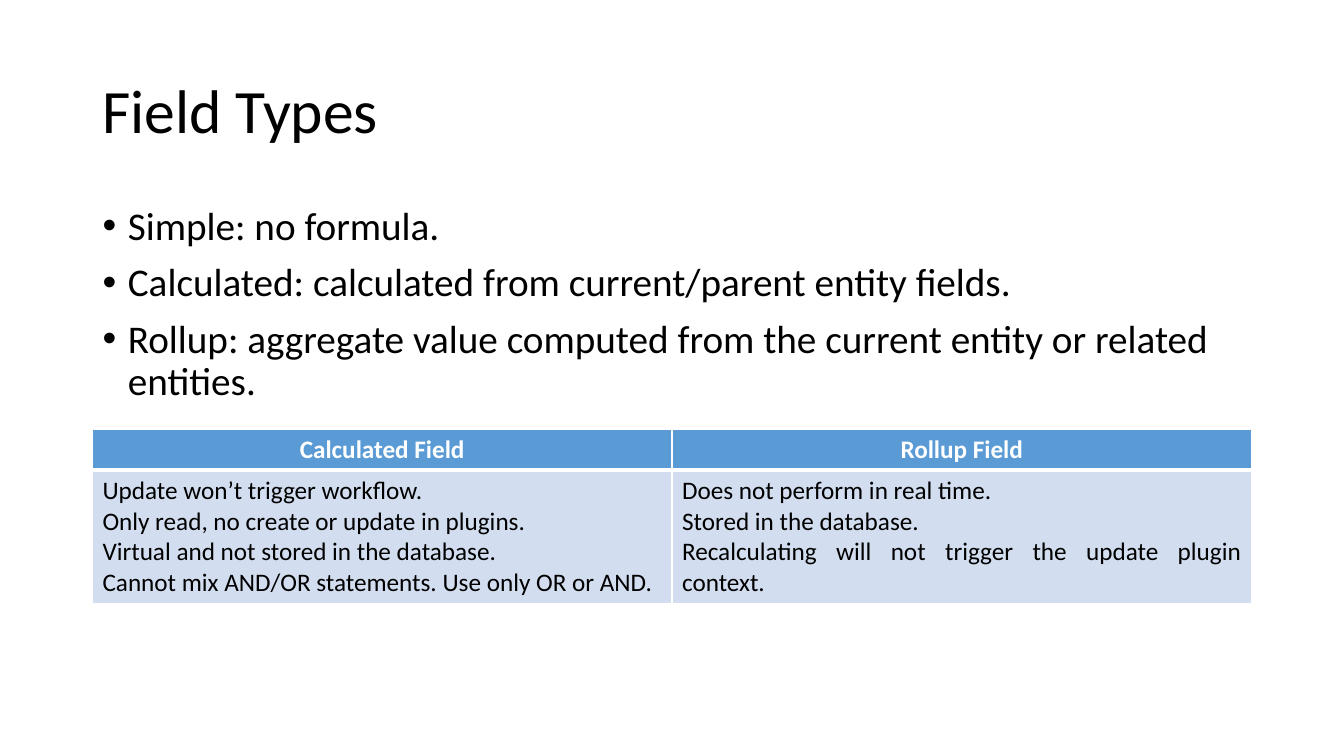
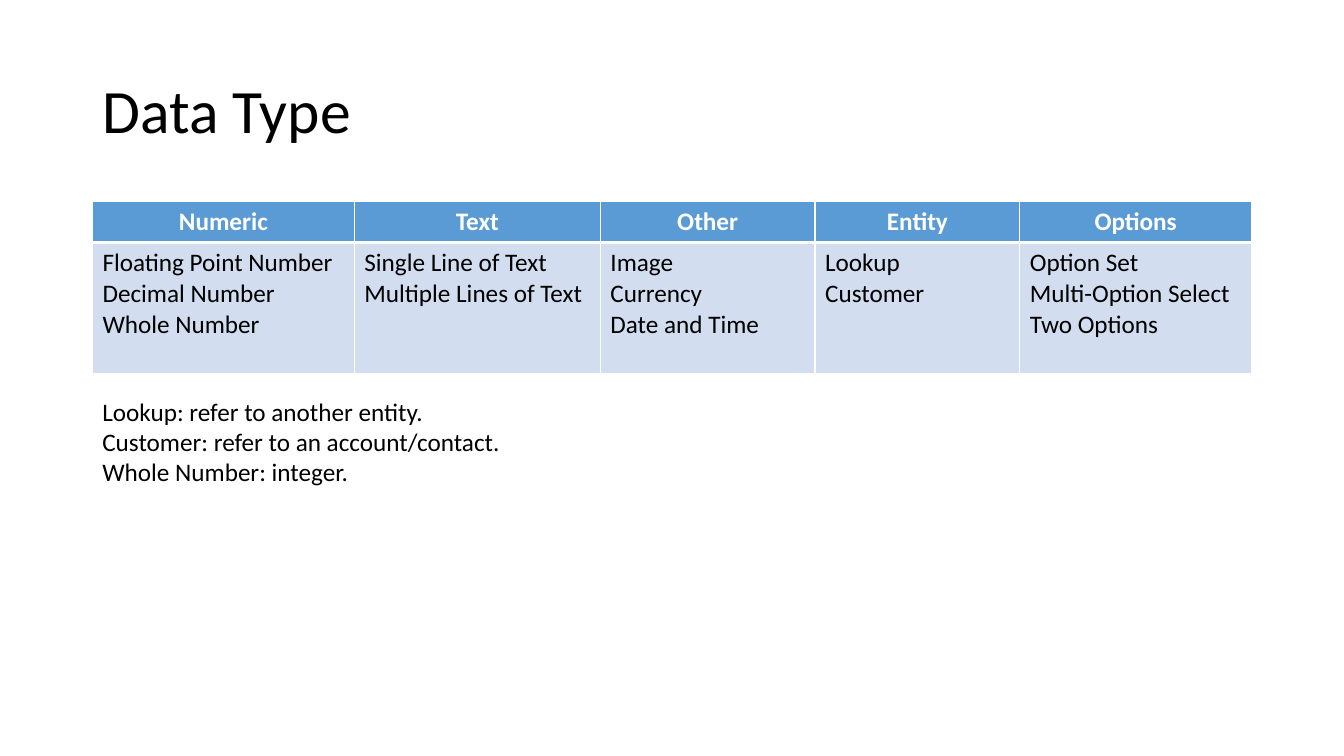
from dataclasses import dataclass

from lxml import etree
from pptx import Presentation
from pptx.dml.color import RGBColor
from pptx.enum.text import MSO_ANCHOR, MSO_AUTO_SIZE, PP_ALIGN
from pptx.oxml.ns import qn
from pptx.util import Cm, Pt

LEFT, CENTER, JUSTIFY = PP_ALIGN.LEFT, PP_ALIGN.CENTER, PP_ALIGN.JUSTIFY
MIDDLE, TOP = MSO_ANCHOR.MIDDLE, MSO_ANCHOR.TOP
FIXED, GROW = MSO_AUTO_SIZE.NONE, MSO_AUTO_SIZE.SHAPE_TO_FIT_TEXT
TITLE_BODY, TITLE_ONLY = 1, 5


@dataclass(frozen=True)
class Theme:
    font: str = "Calibri"
    ink: str = "000000"
    paper: str = "FFFFFF"
    head: str = "5B9BD5"
    band: str = "D2DEEF"
    title: int = 44
    list: int = 28
    text: int = 18
    thin: int = 1
    thick: int = 3
    left: float = 2.33
    width: float = 29.21
    top: float = 5.08


class Deck:
    def __init__(self, theme):
        self.theme = theme
        self.prs = Presentation()
        self.prs.slide_width, self.prs.slide_height = Cm(33.87), Cm(19.05)
        self.slide = None

    def place(self, shape, top, height):
        shape.left, shape.top = Cm(self.theme.left), Cm(top)
        shape.width, shape.height = Cm(self.theme.width), Cm(height)

    def put(self, frame, lines, size, color=None, bold=False, align=LEFT):
        """Fill a text frame, one paragraph a line, and return the paragraphs."""
        paras = []
        for i, line in enumerate(lines):
            para = frame.add_paragraph() if i else frame.paragraphs[0]
            para.alignment = align
            run = para.add_run()
            run.text = line
            font = run.font
            font.name, font.size, font.bold = self.theme.font, Pt(size), bold
            font.color.rgb = RGBColor.from_string(color or self.theme.ink)
            paras.append(para)
        return paras

    def start(self, layout, title):
        self.slide = self.prs.slides.add_slide(self.prs.slide_layouts[layout])
        shape = self.slide.shapes.title
        self.place(shape, 1.01, 3.68)
        frame = shape.text_frame
        frame.vertical_anchor, frame.auto_size = MIDDLE, FIXED
        self.put(frame, [title], self.theme.title)[0].line_spacing = 0.9

    def bullets(self, lines):
        shape = self.slide.placeholders[1]
        self.place(shape, self.theme.top, 12.09)
        frame = shape.text_frame
        frame.vertical_anchor, frame.auto_size = TOP, FIXED
        for para in self.put(frame, lines, self.theme.list):
            para.line_spacing, para.space_before = 0.9, Pt(10)
            props = para._p.get_or_add_pPr()
            props.set("marL", str(Cm(0.64)))
            props.set("indent", str(-Cm(0.64)))
            etree.SubElement(props, qn("a:buFont"), typeface="Arial")
            etree.SubElement(props, qn("a:buChar"), char="•")

    def note(self, top, height, lines):
        box = self.slide.shapes.add_textbox(0, 0, 0, 0)
        self.place(box, top, height)
        frame = box.text_frame
        frame.word_wrap, frame.auto_size = True, GROW
        self.put(frame, lines, self.theme.text)

    def edge(self, cell, side, width):
        props = cell._tc.get_or_add_tcPr()
        line = etree.SubElement(props, qn("a:ln" + side), w=str(Pt(width)))
        fill = etree.SubElement(line, qn("a:solidFill"))
        etree.SubElement(fill, qn("a:srgbClr"), val=self.theme.paper)

    def paint(self, cell, color, heavy):
        """Draw the borders, thick on the heavy side, then the fill."""
        for side in "LRTB":
            thick = side == heavy
            self.edge(cell, side, self.theme.thick if thick else self.theme.thin)
        cell.fill.solid()
        cell.fill.fore_color.rgb = RGBColor.from_string(color)

    def table(self, top, cols):
        """Draw one header row and one body row; cols holds (width, head, lines)."""
        look = self.theme
        rows = 1.03, 3.3
        frame = self.slide.shapes.add_table(
            len(rows), len(cols), Cm(look.left), Cm(top),
            Cm(look.width), Cm(sum(rows)))
        grid = frame.table
        for row, height in zip(grid.rows, rows):
            row.height = Cm(height)
        for i, (width, head, lines) in enumerate(cols):
            grid.columns[i].width = Cm(width)
            cap, body = grid.cell(0, i), grid.cell(1, i)
            self.paint(cap, look.head, "B")
            self.paint(body, look.band, "T")
            self.put(cap.text_frame, [head], look.text, look.paper, True, CENTER)
            self.put(body.text_frame, lines, look.text)
        return grid


def fields(deck):
    deck.start(TITLE_BODY, "Field Types")
    deck.bullets([
        "Simple: no formula.",
        "Calculated: calculated from current/parent entity fields.",
        "Rollup: aggregate value computed from the current entity or related entities.",
    ])
    half = deck.theme.width / 2
    grid = deck.table(10.82, [
        (half, "Calculated Field", [
            "Update won’t trigger workflow.",
            "Only read, no create or update in plugins.",
            "Virtual and not stored in the database.",
            "Cannot mix AND/OR statements. Use only OR or AND.",
        ]),
        (half, "Rollup Field", [
            "Does not perform in real time.",
            "Stored in the database.",
            "Recalculating will not trigger the update plugin context.",
        ]),
    ])
    grid.cell(1, 1).text_frame.paragraphs[-1].alignment = JUSTIFY


def types(deck):
    deck.start(TITLE_ONLY, "Data Type")
    deck.table(deck.theme.top, [
        (6.6, "Numeric", ["Floating Point Number", "Decimal Number", "Whole Number"]),
        (6.2, "Text", ["Single Line of Text", "Multiple Lines of Text"]),
        (5.41, "Other", ["Image", "Currency", "Date and Time"]),
        (5.16, "Entity", ["Lookup", "Customer"]),
        (5.84, "Options", ["Option Set", "Multi-Option Select", "Two Options"]),
    ])
    deck.note(9.86, 2.57, [
        "Lookup: refer to another entity.",
        "Customer: refer to an account/contact.",
        "Whole Number: integer.",
    ])


def main():
    deck = Deck(Theme())
    fields(deck)
    types(deck)
    deck.prs.save("out.pptx")


if __name__ == "__main__":
    main()
